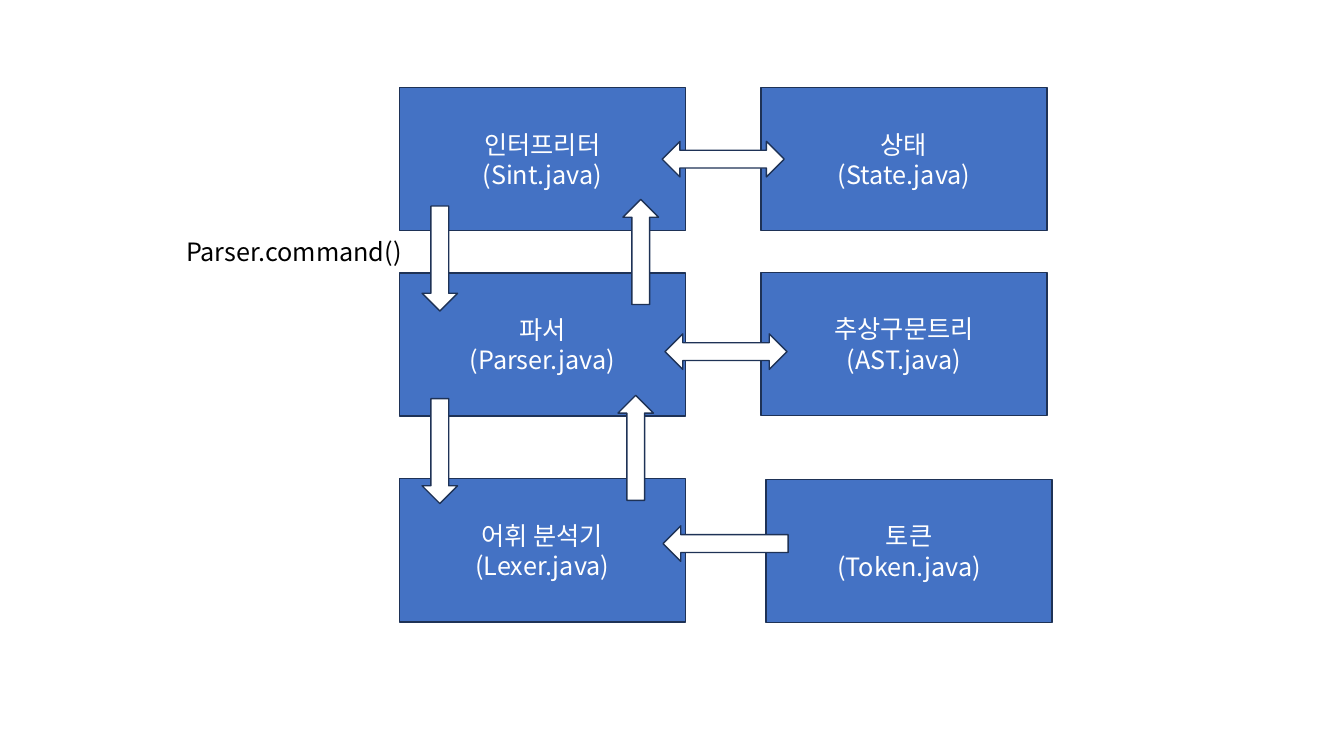
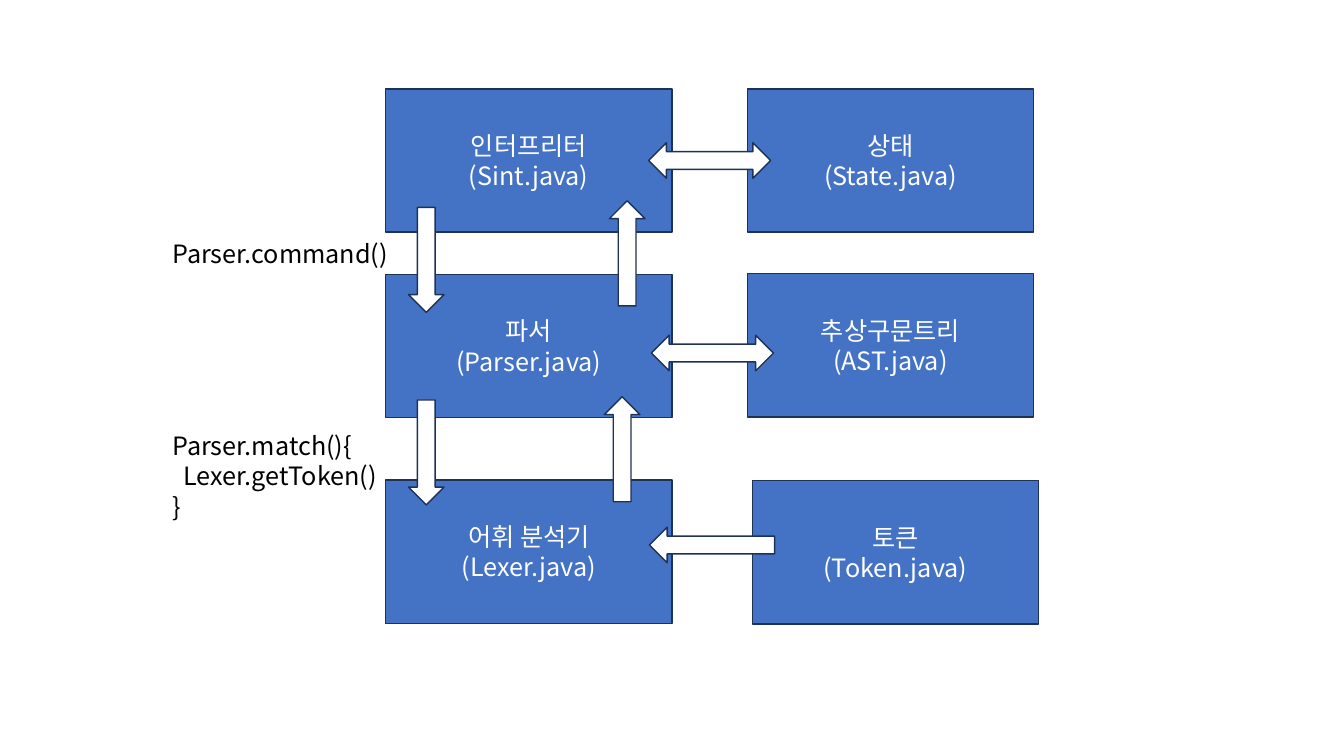
from lxml.etree import SubElement
from pptx import Presentation
from pptx.dml.color import RGBColor
from pptx.enum.shapes import MSO_SHAPE
from pptx.enum.text import MSO_ANCHOR, MSO_AUTO_SIZE, PP_ALIGN
from pptx.oxml.ns import qn
from pptx.util import Pt

BLUE = RGBColor(0x44, 0x72, 0xC4)
NAVY = RGBColor(0x1E, 0x32, 0x56)
WHITE = RGBColor(0xFF, 0xFF, 0xFF)
BLACK = RGBColor(0x00, 0x00, 0x00)
FONT = "Noto Sans CJK KR"

BOX_W, BOX_H = 204.5, 102.25
THICK = 25.4  # width of every arrow
LEFT, RIGHT = 285.2, 543.5

# Boxes: left, top, name, file
BOXES = [
    (LEFT, 62.5, "인터프리터", "(Sint.java)"),
    (RIGHT, 62.5, "상태", "(State.java)"),
    (LEFT, 195, "파서", "(Parser.java)"),
    (RIGHT, 194.5, "추상구문트리", "(AST.java)"),
    (LEFT, 342, "어휘 분석기", "(Lexer.java)"),
    (RIGHT + 3.6, 342.4, "토큰", "(Token.java)"),
]

# Arrows: preset, left, top, width, height
ARROWS = [
    (MSO_SHAPE.DOWN_ARROW, 301.5, 147.2, THICK, 75),
    (MSO_SHAPE.UP_ARROW, 445, 142.5, THICK, 75),
    (MSO_SHAPE.DOWN_ARROW, 301.5, 284.7, THICK, 75),
    (MSO_SHAPE.UP_ARROW, 441.4, 282.4, THICK, 75),
    (MSO_SHAPE.LEFT_RIGHT_ARROW, 473, 101, 87.2, THICK),
    (MSO_SHAPE.LEFT_RIGHT_ARROW, 475, 238.5, 87.2, THICK),
    (MSO_SHAPE.LEFT_ARROW, 473.6, 375.6, 89.4, THICK),
]

# Calls: left, top, width, height, lines as (indent, text)
COMMAND = (125.8, 165.5, 180, 29, [(0, "Parser.command()")])
MATCH = (125.8, 303, 204.5, 72.7, [
    (0, "Parser.match(){"), (8, "Lexer.getToken()"), (0, "}")])

# Slides: shift right, shift down, calls
SLIDES = [(0, 0, [COMMAND]), (-9.7, 1, [COMMAND, MATCH])]


def draw(slide, kind, spot, fill):
    shape = slide.shapes.add_shape(kind, *map(Pt, spot))
    shape.shadow.inherit = False
    shape.fill.solid()
    shape.fill.fore_color.rgb = fill
    shape.line.color.rgb = NAVY
    shape.line.width = Pt(1)
    return shape


def write(frame, lines, color, align):
    frame.word_wrap = True
    frame.text = "\n".join(text for _, text in lines)
    for para, (indent, _) in zip(frame.paragraphs, lines):
        para.alignment = align
        para.font.name = FONT
        para.font.size = Pt(18)
        para.font.color.rgb = color
        # Hangul typeface and left indent
        props = para._p.pPr
        SubElement(props.find(qn("a:defRPr")), qn("a:ea"), typeface=FONT)
        if indent:
            props.set("marL", str(Pt(indent)))


deck = Presentation()
deck.slide_width, deck.slide_height = Pt(960), Pt(540)

for dx, dy, calls in SLIDES:
    slide = deck.slides.add_slide(deck.slide_layouts[6])

    # Modules
    for x, y, name, file in BOXES:
        spot = (x + dx, y + dy, BOX_W, BOX_H)
        box = draw(slide, MSO_SHAPE.RECTANGLE, spot, BLUE)
        box.text_frame.vertical_anchor = MSO_ANCHOR.MIDDLE
        write(box.text_frame, [(0, name), (0, file)], WHITE, PP_ALIGN.CENTER)

    # Flow between modules
    for kind, x, y, w, h in ARROWS:
        draw(slide, kind, (x + dx, y + dy, w, h), WHITE)

    # Method calls
    for x, y, w, h, lines in calls:
        label = slide.shapes.add_textbox(Pt(x + dx), Pt(y + dy), Pt(w), Pt(h))
        write(label.text_frame, lines, BLACK, PP_ALIGN.LEFT)
        label.text_frame.auto_size = MSO_AUTO_SIZE.SHAPE_TO_FIT_TEXT

deck.save("out.pptx")
